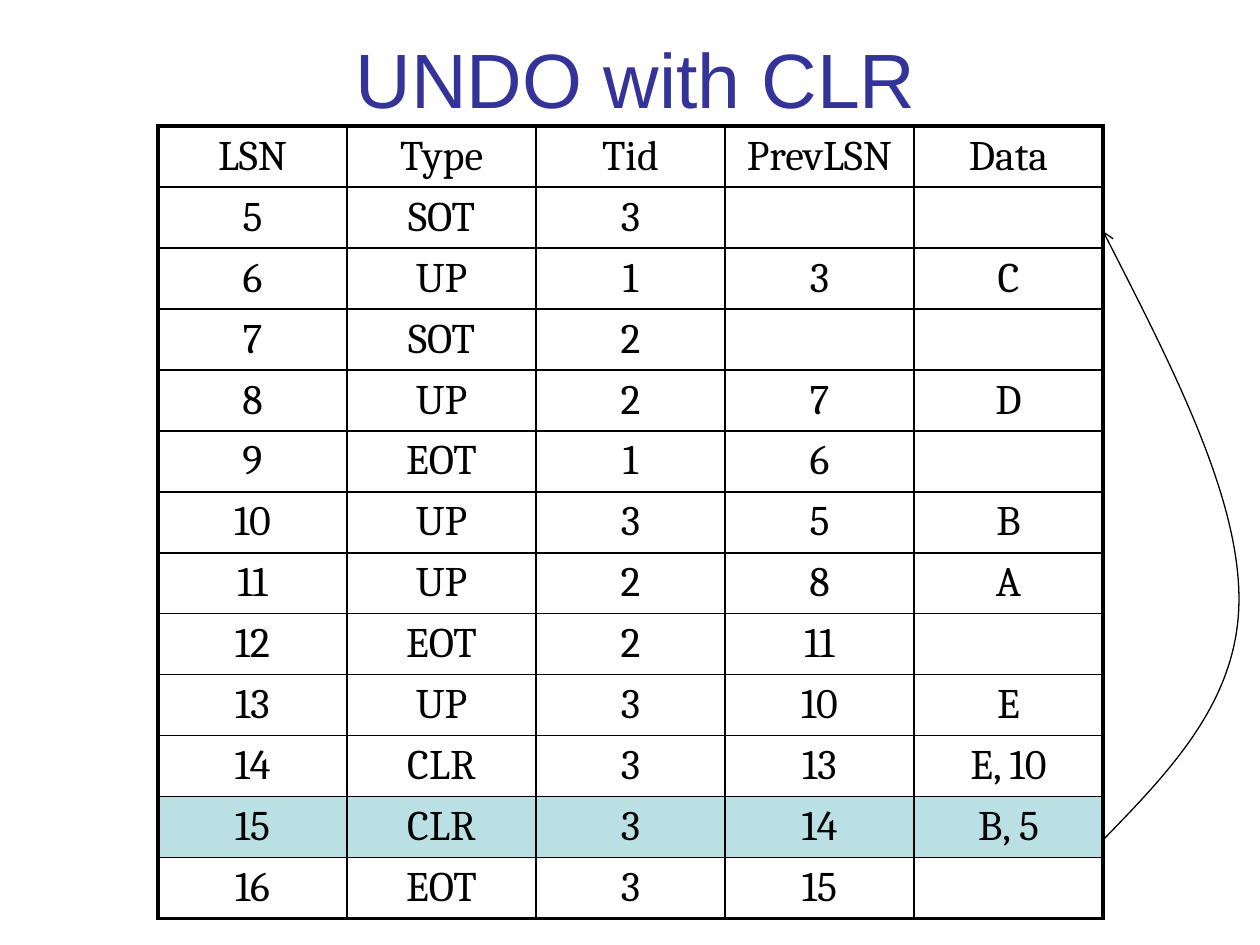
from typing import NamedTuple

import pptx
import pptx.dml.color
import pptx.enum.text
import pptx.oxml
import pptx.oxml.ns
import pptx.util

SCALE = 914400 / 126  # EMU per pixel
BLACK = pptx.dml.color.RGBColor(0x00, 0x00, 0x00)
WHITE = pptx.dml.color.RGBColor(0xFF, 0xFF, 0xFF)
INDIGO = pptx.dml.color.RGBColor(0x33, 0x33, 0x99)
PALE_TEAL = pptx.dml.color.RGBColor(0xBB, 0xE0, 0xE3)
THIN, THICK = 1, 2.25
TABLE_LEFT, TABLE_TOP = 158, 126
COLUMN_WIDTH, ROW_HEIGHT = 189, 61
HIGHLIGHTED_LSN = "15"


class LogRecord(NamedTuple):
    """One row of the log table."""
    lsn: str
    kind: str
    tid: str
    prev_lsn: str = ""
    data: str = ""


class Point(NamedTuple):
    """A position in pixels."""
    x: int
    y: int


class Curve(NamedTuple):
    """A cubic segment: two control points and its end."""
    first: Point
    second: Point
    end: Point


LOG = [
    LogRecord("LSN", "Type", "Tid", "PrevLSN", "Data"),
    LogRecord("5", "SOT", "3"),
    LogRecord("6", "UP", "1", "3", "C"),
    LogRecord("7", "SOT", "2"),
    LogRecord("8", "UP", "2", "7", "D"),
    LogRecord("9", "EOT", "1", "6"),
    LogRecord("10", "UP", "3", "5", "B"),
    LogRecord("11", "UP", "2", "8", "A"),
    LogRecord("12", "EOT", "2", "11"),
    LogRecord("13", "UP", "3", "10", "E"),
    LogRecord("14", "CLR", "3", "13", "E, 10"),
    LogRecord("15", "CLR", "3", "14", "B, 5"),
    LogRecord("16", "EOT", "3", "15"),
]
ARROW_START = Point(1103, 840)
ARROW_CURVES = [
    Curve(Point(1171, 770), Point(1239, 700), Point(1239, 599)),
    Curve(Point(1239, 497), Point(1171, 364), Point(1103, 231)),
]


def px(pixels: int) -> pptx.util.Emu:
    """Turn pixels into EMU."""
    return pptx.util.Emu(round(pixels * SCALE))


def write(frame, text: str, font: str, size: int, colour) -> None:
    """Put one centred run into a text frame, centred vertically too."""
    frame.vertical_anchor = pptx.enum.text.MSO_ANCHOR.MIDDLE
    para = frame.paragraphs[0]
    para.alignment = pptx.enum.text.PP_ALIGN.CENTER
    span = para.add_run()
    span.text = text
    span.font.name = font
    span.font.size = pptx.util.Pt(size)
    span.font.color.rgb = colour


def add_title(page, text: str) -> None:
    """Add the slide heading."""
    box = page.shapes.add_textbox(px(53), px(10), px(1166), px(136))
    box.text_frame.word_wrap = True
    write(box.text_frame, text, "Arial", 44, INDIGO)


def set_border(cell, side: str, points: float) -> None:
    """Draw one black edge of a cell."""
    namespace = pptx.oxml.ns.nsdecls("a")
    cell._tc.get_or_add_tcPr().append(pptx.oxml.parse_xml(
        f'<a:ln{side} {namespace} w="{pptx.util.Pt(points)}"><a:solidFill>'
        f'<a:srgbClr val="{BLACK}"/></a:solidFill></a:ln{side}>'))


def add_log_table(page, log: list[LogRecord]) -> None:
    """Add the log with a thick frame and one highlighted record."""
    last_row, last_column = len(log) - 1, len(LogRecord._fields) - 1
    table = page.shapes.add_table(
        last_row + 1, last_column + 1, px(TABLE_LEFT), px(TABLE_TOP),
        px(COLUMN_WIDTH * (last_column + 1)), px(ROW_HEIGHT * len(log))).table
    table.first_row = table.horz_banding = False
    for column in table.columns:
        column.width = px(COLUMN_WIDTH)
    for row_index, record in enumerate(log):
        table.rows[row_index].height = px(ROW_HEIGHT)
        for column_index, text in enumerate(record):
            cell = table.cell(row_index, column_index)
            cell.margin_top = cell.margin_bottom = 0
            cell.vertical_anchor = pptx.enum.text.MSO_ANCHOR.MIDDLE
            if text:
                write(cell.text_frame, text, "Cambria", 24, BLACK)
            outer_edges = {
                "L": column_index == 0, "R": column_index == last_column,
                "T": row_index == 0, "B": row_index == last_row}
            for side, is_outer in outer_edges.items():
                set_border(cell, side, THICK if is_outer else THIN)
            cell.fill.solid()
            highlighted = record.lsn == HIGHLIGHTED_LSN
            cell.fill.fore_color.rgb = PALE_TEAL if highlighted else WHITE


def add_curved_arrow(page, start: Point, curves: list[Curve]) -> None:
    """Add an open curve that ends in an arrowhead."""
    builder = page.shapes.build_freeform(start.x, start.y, scale=SCALE)
    builder.add_line_segments([curve.end for curve in curves], close=False)
    arrow = builder.convert_to_shape()
    arrow.shadow.inherit = False
    arrow.fill.background()
    arrow.line.color.rgb = BLACK
    arrow.line.width = pptx.util.Pt(0.75)
    namespace = pptx.oxml.ns.nsdecls("a")
    left = min(start.x, *(curve.end.x for curve in curves))
    top = min(start.y, *(curve.end.y for curve in curves))
    segments = list(arrow._element.iter(pptx.oxml.ns.qn("a:lnTo")))
    for segment, curve in zip(segments, curves):
        points = "".join(f'<a:pt x="{point.x - left}" y="{point.y - top}"/>'
                         for point in curve)
        segment.getparent().replace(segment, pptx.oxml.parse_xml(
            f"<a:cubicBezTo {namespace}>{points}</a:cubicBezTo>"))
    arrow.line._get_or_add_ln().append(pptx.oxml.parse_xml(
        f'<a:tailEnd {namespace} type="arrow"/>'))


def main() -> None:
    """Build and save the deck."""
    deck = pptx.Presentation()
    deck.slide_width, deck.slide_height = px(1260), px(945)
    page = deck.slides.add_slide(deck.slide_layouts[6])
    add_title(page, "UNDO with CLR")
    add_log_table(page, LOG)
    add_curved_arrow(page, ARROW_START, ARROW_CURVES)
    deck.save("out.pptx")


main()
